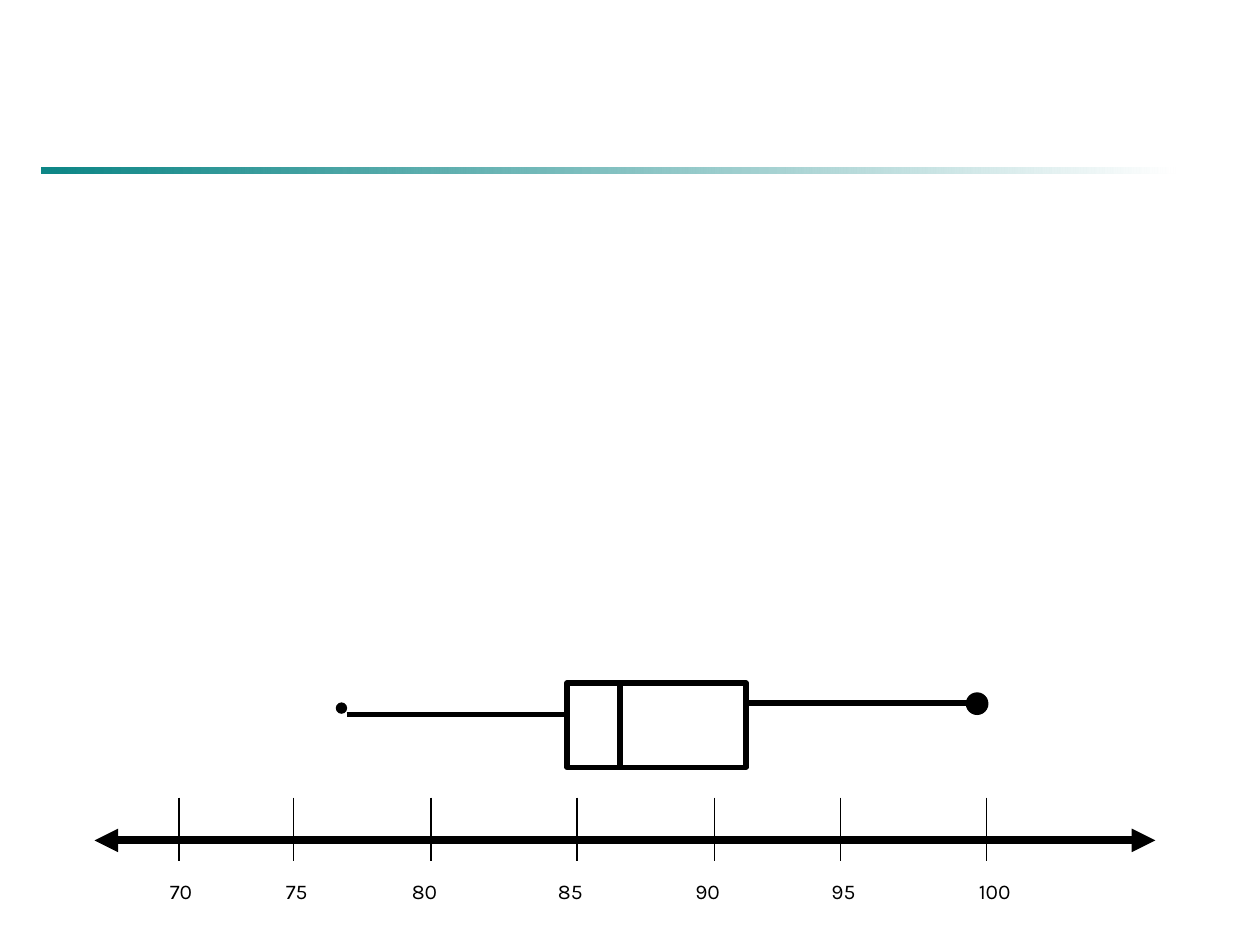
"""Build a slide with a box plot above a number line from 70 to 100."""
import pptx
import pptx.dml.color
import pptx.enum.shapes
import pptx.enum.text
import pptx.oxml.ns
import pptx.oxml.xmlchemy
import pptx.util
from lxml import etree

Inches = pptx.util.Inches
Pt = pptx.util.Pt
KIND = pptx.enum.shapes.MSO_SHAPE
COLORS = {"ink": "000000", "teal": "008080", "white": "FFFFFF"}
TICKS = {70: (1.42, 1.25), 75: (2.33, 2.17), 80: (3.42, 3.17), 85: (4.58, 4.33),
         90: (5.67, 5.42), 95: (6.67, 6.5), 100: (7.83, 7.67)}


def tint(name):
    return pptx.dml.color.RGBColor.from_string(COLORS[name])


def sub(node, tag, **attrs):
    return etree.SubElement(node, pptx.oxml.ns.qn(tag), **attrs)


def add_line(slide, start, end, width, arrows=False):
    ends = [Inches(v) for v in (*start, *end)]
    line = slide.shapes.add_connector(pptx.enum.shapes.MSO_CONNECTOR.STRAIGHT, *ends)
    line.line.color.rgb = tint("ink")
    line.line.width = Pt(width)
    if arrows:
        stroke = line.line._get_or_add_ln()
        for tag in ("a:headEnd", "a:tailEnd"):
            sub(stroke, tag, type="triangle")
    sub(line._element.spPr, "a:effectLst")


def add_shape(slide, kind, box, width=None, fill=None):
    shape = slide.shapes.add_shape(kind, *[Inches(v) for v in box])
    shape.shadow.inherit = False
    if fill:
        shape.fill.solid()
        shape.fill.fore_color.rgb = tint(fill)
    else:
        shape.fill.background()
    if width:
        shape.line.color.rgb = tint("ink")
        shape.line.width = Pt(width)
    else:
        shape.line.fill.background()
    return shape


def add_rule(slide):
    rule = add_shape(slide, KIND.RECTANGLE, (0.33, 1.33, 9, 0.05))
    rule.fill.gradient()
    rule.fill.gradient_angle = 0
    for stop, name, place in zip(rule.fill.gradient_stops, ("teal", "white"), (0, 1)):
        stop.color.rgb = tint(name)
        stop.position = place
    first = next(rule._element.spPr.iter(pptx.oxml.ns.qn("a:srgbClr")))
    sub(first, "a:alpha", val="95000")


def add_label(slide, text, left):
    box = slide.shapes.add_textbox(Inches(left), Inches(6.92), Inches(0.5), Inches(0.3))
    frame = box.text_frame
    frame.word_wrap = True
    frame.auto_size = pptx.enum.text.MSO_AUTO_SIZE.SHAPE_TO_FIT_TEXT
    para = frame.paragraphs[0]
    para.space_before = Pt(7.5)
    run = para.add_run()
    run.text = text
    run.font.name = "Karla"
    run.font.size = Pt(12)
    run.font.color.rgb = tint("ink")


def add_scale(slide):
    add_line(slide, (0.75, 6.67), (9.17, 6.67), 4.5, arrows=True)
    for value, (x, left) in TICKS.items():
        add_line(slide, (x, 6.33), (x, 6.83), 0.75)
        add_label(slide, str(value), left)


def add_plot(slide):
    add_shape(slide, KIND.RECTANGLE, (4.5, 5.42, 1.42, 0.67), 3)
    add_line(slide, (4.92, 5.42), (4.92, 6.08), 3)
    for left, top, size in ((2.67, 5.58, 0.08), (7.67, 5.5, 0.17)):
        add_shape(slide, KIND.OVAL, (left, top, size, size), 0.75, "ink")
    add_line(slide, (2.75, 5.67), (4.5, 5.67), 3)
    add_line(slide, (7.75, 5.58), (5.92, 5.58), 3)


def main():
    deck = pptx.Presentation()
    deck.slide_width, deck.slide_height = Inches(10), Inches(7.5)
    slide = deck.slides.add_slide(deck.slide_layouts[6])
    slide.background.fill.solid()
    slide.background.fill.fore_color.rgb = tint("white")
    add_rule(slide)
    add_scale(slide)
    add_plot(slide)
    deck.save("out.pptx")


if __name__ == "__main__":
    main()
